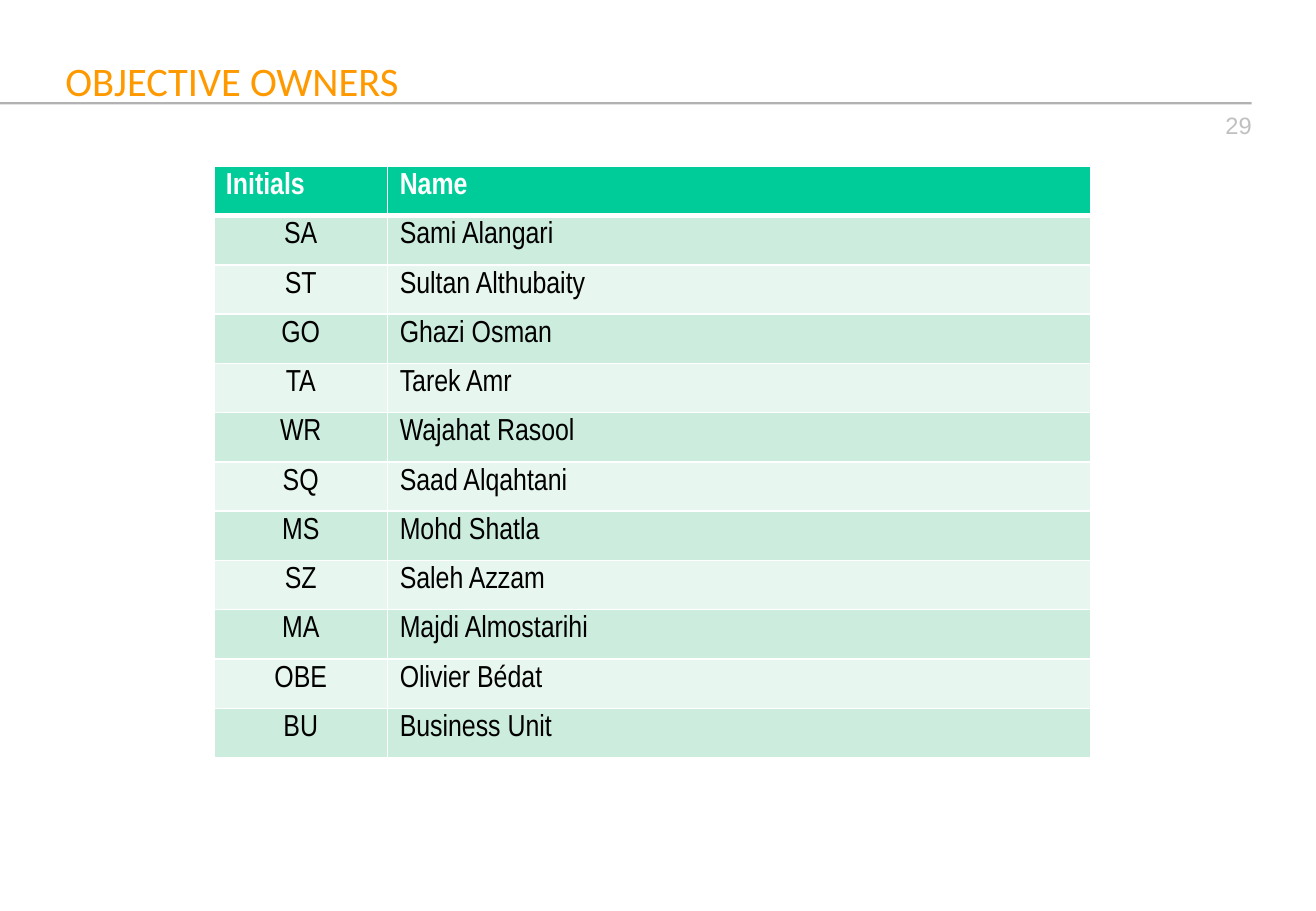
from lxml.etree import SubElement
from pptx import Presentation
from pptx.dml.color import RGBColor
from pptx.enum.shapes import MSO_SHAPE
from pptx.enum.text import PP_ALIGN
from pptx.oxml.ns import qn
from pptx.util import Inches, Pt

OWNERS = [
    ("Initials", "Name"),
    ("SA", "Sami Alangari"),
    ("ST", "Sultan Althubaity"),
    ("GO", "Ghazi Osman"),
    ("TA", "Tarek Amr"),
    ("WR", "Wajahat Rasool"),
    ("SQ", "Saad Alqahtani"),
    ("MS", "Mohd Shatla"),
    ("SZ", "Saleh Azzam"),
    ("MA", "Majdi Almostarihi"),
    ("OBE", "Olivier Bédat"),
    ("BU", "Business Unit"),
]
WIDTHS = (1.43, 5.79)
HEIGHT = 4.87
WHITE = "FFFFFF"
HEAD = "00CC99"
BANDS = ("E7F6EF", "CCECDE")


def paint(target, color):
    target.solid()
    target.fore_color.rgb = RGBColor.from_string(color)


def write(frame, text, size, face, color, align=PP_ALIGN.LEFT, bold=False):
    frame.text = text
    para = frame.paragraphs[0]
    para.alignment = align
    font = para.runs[0].font
    font.size, font.name, font.bold = Pt(size), face, bold
    paint(font.fill, color)


def add_label(slide, box, *style):
    frame = slide.shapes.add_textbox(*map(Inches, box)).text_frame
    frame.word_wrap = True
    write(frame, *style)


def add_rule(slide, box, color):
    rule = slide.shapes.add_shape(MSO_SHAPE.RECTANGLE, *map(Inches, box))
    rule.shadow.inherit = False
    paint(rule.fill, color)
    rule.line.fill.background()


def add_border(cell, side, width):
    line = SubElement(cell._tc.get_or_add_tcPr(), qn("a:ln" + side), w=str(Pt(width)))
    fill = SubElement(line, qn("a:solidFill"))
    SubElement(fill, qn("a:srgbClr"), val=WHITE)


def fill_cell(cell, text, row, col):
    # Borders go in before the fill, with a thick line under the header
    thick = {(0, "B"): 3, (1, "T"): 3}
    for side in "LRTB":
        add_border(cell, side, thick.get((row, side), 1))
    head = row == 0
    paint(cell.fill, HEAD if head else BANDS[row % 2])
    align = PP_ALIGN.LEFT if head or col else PP_ALIGN.CENTER
    color = WHITE if head else "000000"
    write(cell.text_frame, text, 18, "Arial Narrow", color, align, head)


def add_owners(slide, left, top):
    box = map(Inches, (left, top, sum(WIDTHS), HEIGHT))
    table = slide.shapes.add_table(len(OWNERS), len(WIDTHS), *box).table
    for col, width in enumerate(WIDTHS):
        table.columns[col].width = Inches(width)
    for row, texts in enumerate(OWNERS):
        table.rows[row].height = Inches(HEIGHT / len(OWNERS))
        for col, text in enumerate(texts):
            fill_cell(table.cell(row, col), text, row, col)


def main():
    deck = Presentation()
    deck.slide_width, deck.slide_height = Inches(10.83), Inches(7.5)
    slide = deck.slides.add_slide(deck.slide_layouts[6])

    # Header line, page number and title
    add_rule(slide, (0, 0.84, 10.3, 0.02), "B2B2B2")
    add_label(slide, (8.07, 0.86, 2.33, 0.52), "29", 14, "Arial", "C0C0C0", PP_ALIGN.RIGHT)
    add_label(slide, (0.44, 0.41, 7.03, 0.51), "OBJECTIVE OWNERS", 24, "Calibri", "FF9900")

    # Table of owners
    add_owners(slide, 1.76, 1.37)
    deck.save("out.pptx")


if __name__ == "__main__":
    main()
